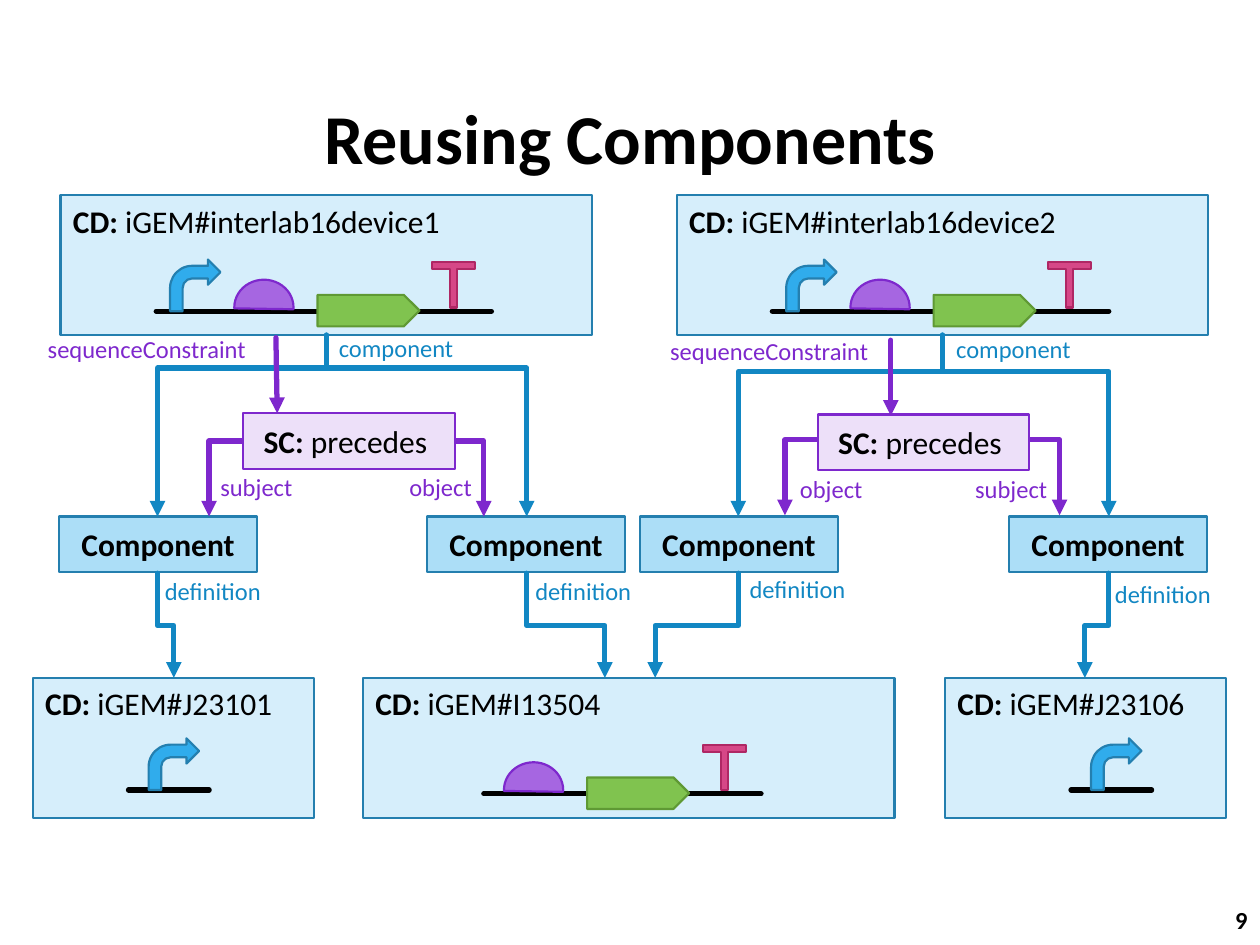
import lxml.etree
import pptx
import pptx.dml.color
import pptx.enum.shapes
import pptx.enum.text
import pptx.oxml.ns
import pptx.util

THEME = {
    "font": "Calibri", "head": 40, "body": 18, "small": 14,
    "edge": 1.25, "wire": 3,
    "black": "000000", "blue": "1287C3", "purple": "7E28CD",
    "box": ("D6EEFB", "247FAF"), "part": ("ACDEF7", "247FAF"),
    "rule": ("EDE0F9", "7E28CD"), "start": ("30ACEC", "247FAF"),
    "dome": ("A666E1", "7E28CD"), "gene": ("80C34F", "5F9934"),
    "stop": ("D64787", "AF2764"),
}
KIND = pptx.enum.shapes.MSO_SHAPE
ALIGN = pptx.enum.text.PP_ALIGN
MID = pptx.enum.text.MSO_ANCHOR.MIDDLE
INCH = 2.54

GLYPHS = {
    "dome": (KIND.CHORD, 0.25, 0.47, 0.44, (106.9, 2.146), 0),
    "stop": (KIND.LEFT_RIGHT_UP_ARROW, 0.39, 0.34, 0.36, (0.182, 0.081, 0), 180),
    "start": (KIND.BENT_ARROW, 0.41, 0.4, 0.41, (), 0),
    "gene": (KIND.PENTAGON, 0.13, 0.81, 0.25, (), 0),
}
FULL = {"start": 0.87, "dome": 1.38, "stop": 2.95, "gene": 2.04}
TAIL = {"dome": 1.12, "stop": 2.7, "gene": 1.78}
BOXES = [
    ("iGEM#I13504", 2.88, 5.38, 4.22, (0.96, 3.16), 0.92, TAIL),
    ("iGEM#J23101", 0.26, 5.38, 2.23, (0.76, 1.4), 0.89, {"start": 0.92}),
    ("iGEM#J23106", 7.5, 5.38, 2.23, (1, 1.64), 0.89, {"start": 1.16}),
    ("iGEM#interlab16device1", 0.48, 1.55, 4.22, (0.76, 3.42), 0.92, FULL),
    ("iGEM#interlab16device2", 5.37, 1.55, 4.22, (0.76, 3.43), 0.92, FULL),
]
PARTS = [0.47, 3.39, 5.08, 8.01]
RULES = [(1.93, 3.28), (6.49, 3.29)]
FORKS = [
    ((2.59, 2.66), (1.25, 4.1), 0.181), ((2.59, 2.66), (4.18, 4.1), 0.181),
    ((7.48, 2.66), (8.8, 4.1), 0.201), ((7.48, 2.66), (5.86, 4.1), 0.201),
    ((1.25, 4.55), (1.38, 5.38), 0.5), ((4.18, 4.55), (4.8, 5.38), 0.5),
    ((5.86, 4.55), (5.2, 5.38), 0.5), ((8.8, 4.55), (8.61, 5.38), 0.5),
]
HOOKS = [
    ((1.93, 3.5), (1.66, 4.1)), ((3.61, 3.5), (3.84, 4.1)),
    ((6.51, 3.49), (6.23, 4.09)), ((8.18, 3.49), (8.41, 4.09)),
]
DROPS = [((2.19, 2.68), (2.2, 3.28)), ((7.07, 2.7), (7.07, 3.3))]
LABELS = [
    ("blue", 0.99, "definition", [(1.21, 4.52), (4.15, 4.52), (5.85, 4.51), (8.75, 4.55)]),
    ("blue", 1.45, "component", [(2.59, 2.59), (7.49, 2.6)]),
    ("purple", 0.79, "subject", [(1.65, 3.7), (7.64, 3.71)]),
    ("purple", 0.71, "object", [(3.15, 3.7), (6.25, 3.71)]),
    ("purple", 1.82, "sequenceConstraint", [(0.28, 2.6), (5.22, 2.62)]),
]

deck = pptx.Presentation()
deck.slide_width = pptx.util.Cm(25.4)
deck.slide_height = pptx.util.Cm(19.05)
shapes = deck.slides.add_slide(deck.slide_layouts[6]).shapes


def cm(*sizes):
    return [pptx.util.Cm(size * INCH) for size in sizes]


def rgb(code):
    return pptx.dml.color.RGBColor.from_string(code)


def write(shape, runs, size, align=ALIGN.LEFT, color="black"):
    para = shape.text_frame.paragraphs[0]
    para.alignment = align
    for text, bold in runs:
        run = para.add_run()
        run.text = text
        font = run.font
        font.name, font.bold = THEME["font"], bold
        font.size = pptx.util.Pt(THEME[size])
        font.color.rgb = rgb(THEME[color])


def note(area, runs, size, align=ALIGN.LEFT, color="black", wrap=True):
    box = shapes.add_textbox(*cm(*area))
    box.text_frame.word_wrap = wrap
    write(box, runs, size, align, color)
    return box


def block(kind, area, look):
    shape = shapes.add_shape(kind, *cm(*area))
    shape.shadow.inherit = False
    fill, edge = THEME[look]
    shape.fill.solid()
    shape.fill.fore_color.rgb = rgb(fill)
    shape.line.color.rgb = rgb(edge)
    shape.line.width = pptx.util.Pt(THEME["edge"])
    return shape


def panel(area, look, runs, align=ALIGN.CENTER, anchor=MID):
    shape = block(KIND.RECTANGLE, area, look)
    shape.text_frame.vertical_anchor = anchor
    write(shape, runs, "body", align)


def wire(start, end, color, form="line", arrow=True):
    link = shapes.add_connector(
        pptx.enum.shapes.MSO_CONNECTOR.STRAIGHT, *cm(*start, *end))
    link.line.color.rgb = rgb(THEME[color])
    link.line.width = pptx.util.Pt(THEME["wire"])
    name = pptx.oxml.ns.qn
    props = link.element.spPr
    props.find(name("a:prstGeom")).set("prst", form)
    line = props.find(name("a:ln"))
    line.set("cap", "rnd")
    if arrow:
        lxml.etree.SubElement(line, name("a:tailEnd")).set("type", "triangle")
    lxml.etree.SubElement(props, name("a:effectLst"))
    return props


def fork(start, end, bend):
    (left, top), (right, base) = start, end
    midx, midy = (left + right) / 2, (top + base) / 2
    wide, high = (base - top) / 2, abs(right - left) / 2
    side = 1 if right < left else -1
    props = wire((midx - side * wide, midy - high),
                 (midx + side * wide, midy + high), "blue", "bentConnector3")
    name = pptx.oxml.ns.qn
    props.find(name("a:xfrm")).set("rot", str(side % 4 * 90 * 60000))
    stops = props.find(name("a:prstGeom")).find(name("a:avLst"))
    guide = lxml.etree.SubElement(stops, name("a:gd"))
    guide.set("name", "adj1")
    guide.set("fmla", f"val {round(bend * 100000)}")


def glyph(look, left, base):
    kind, rise, wide, high, bends, turn = GLYPHS[look]
    shape = block(kind, (left, base - rise, wide, high), look)
    for i, bend in enumerate(bends):
        shape.adjustments[i] = bend
    shape.rotation = turn


title = note((0, 0, 10, 2.17), [("Reusing Components", True)], "head", ALIGN.CENTER)
count = note((9.53, 7.1, 0.47, 0.4), [("9", True)], "small", ALIGN.RIGHT)
for box in (title, count):
    box.text_frame.vertical_anchor = MID

for text, left, top, wide, ends, drop, marks in BOXES:
    panel((left, top, wide, 1.11), "box", [("CD: ", True), (text, False)],
          ALIGN.LEFT, pptx.enum.text.MSO_ANCHOR.TOP)
    base = top + drop
    wire((left + ends[0], base), (left + ends[1], base), "black", arrow=False)
    for look, shift in marks.items():
        glyph(look, left + shift, base)

for left in PARTS:
    panel((left, 4.1, 1.57, 0.44), "part", [("Component", True)])
for start, end, bend in FORKS:
    fork(start, end, bend)
for start, end in HOOKS:
    wire(start, end, "purple", "bentConnector2")
for left, top in RULES:
    panel((left, top, 1.68, 0.44), "rule", [("SC: ", True), ("precedes ", False)])
for start, end in DROPS:
    wire(start, end, "purple")
for color, wide, text, spots in LABELS:
    for left, top in spots:
        box = note((left, top, wide, 0.34), [(text, False)], "small",
                   color=color, wrap=text == "component")
        box.text_frame.auto_size = pptx.enum.text.MSO_AUTO_SIZE.SHAPE_TO_FIT_TEXT

deck.save("out.pptx")
